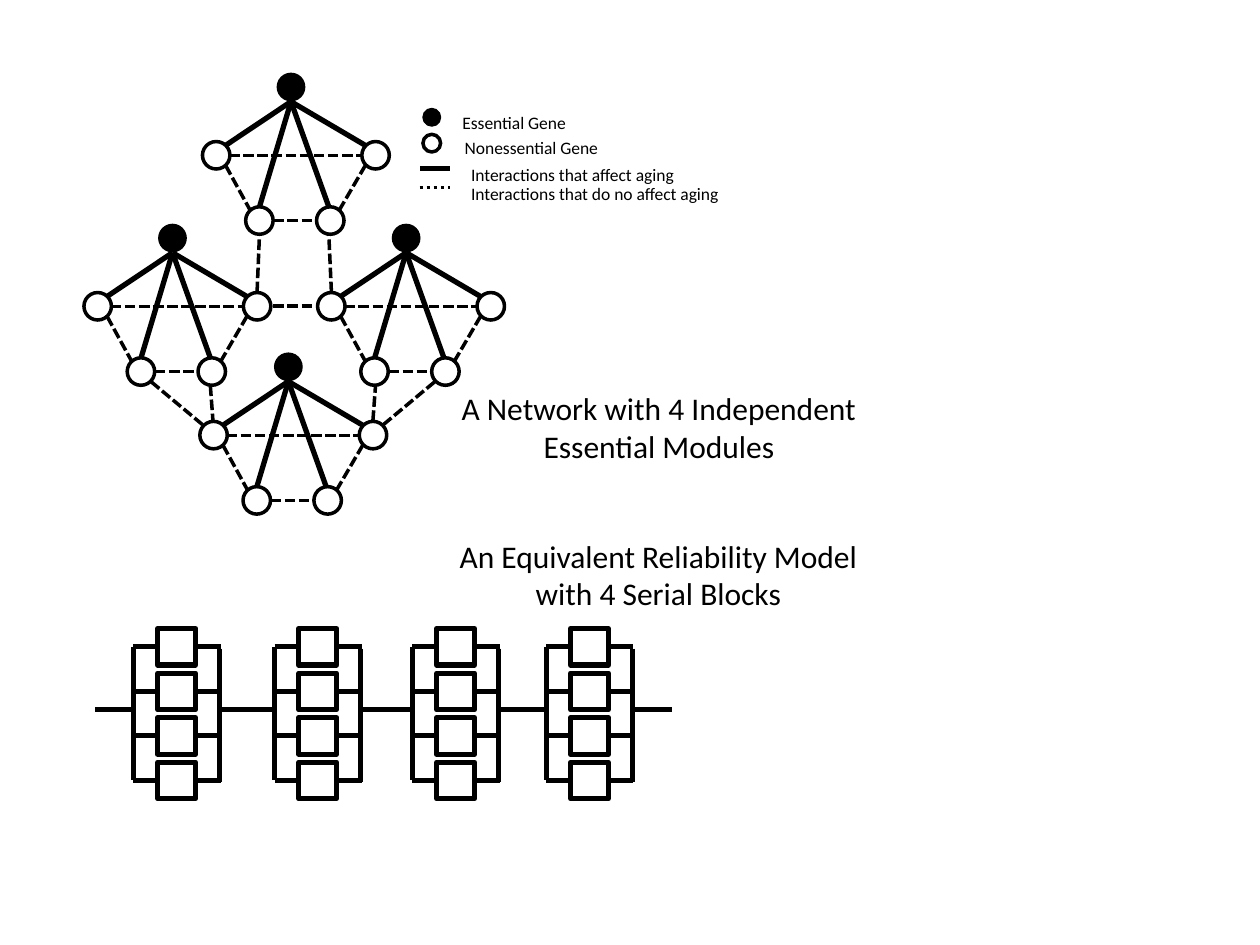
from lxml.etree import SubElement
from pptx import Presentation
from pptx.dml.color import RGBColor
from pptx.enum.dml import MSO_LINE_DASH_STYLE as Dash
from pptx.enum.shapes import MSO_CONNECTOR as Link, MSO_SHAPE as Preset
from pptx.enum.text import MSO_AUTO_SIZE as AutoSize, PP_ALIGN as Align
from pptx.oxml.ns import qn
from pptx.util import Pt

BLACK = RGBColor(0, 0, 0)
WHITE = RGBColor(255, 255, 255)

SOLID = {"width": Pt(3)}
DASHED = {"width": Pt(2), "dash_style": Dash.SQUARE_DOT}
DOTTED = {"width": Pt(2), "dash_style": Dash.ROUND_DOT}
GENE_EDGE = {"width": Pt(2)}
ESSENTIAL_EDGE = {"width": Pt(0.75)}

GENE_SIZE = 15.7
# Offsets from the top centre of a module
NONESSENTIAL_GENES = [(14.6, 76.3), (-25.9, 76.3), (-50.6, 39), (40.5, 39)]
AGING_ENDS = [(-37.4, 41.2), (-18, 76.3), (21.6, 76.3), (42.5, 41.2)]
OTHER_INTERACTIONS = [
    (27.4, 78.5, 42.5, 52.6), (-10.1, 84.2, 14.4, 84.2),
    (-35.3, 47, 40.3, 47), (-37.4, 52.6, -23.2, 78.5),
]
MODULES = [(98.6, 128.2), (232.1, 128.2), (166.3, 41.9), (164.8, 201.8)]
MODULE_BRIDGES = [
    (156.2, 175, 181.4, 175), (146.9, 167, 148.3, 133.9),
    (189.4, 167, 187.9, 133.9), (120.2, 220.3, 121.7, 240.5),
    (213.1, 240.5, 214.6, 220.3), (86.4, 218.2, 116.6, 243.4),
    (248.4, 218.2, 218.2, 243.4),
]

BLOCK_LEFTS = [76.3, 156.9, 235.7, 312.2]
BLOCK_WIDTH, LEAD = 49.8, 21.8
RUNG_TOP, RUNG_PITCH, RUNGS = 369.6, 25.45, 4
SERIAL_Y = 405.4


def apply_format(target, values):
    """Set each attribute named in values on the target."""
    for name, value in values.items():
        setattr(target, name, value)


def add_line(shapes, ends, line_format):
    """Draw a black line through (x1, y1, x2, y2)."""
    link = shapes.add_connector(Link.STRAIGHT, *[Pt(v) for v in ends])
    link.line.color.rgb = BLACK
    apply_format(link.line, line_format)
    SubElement(link._element.spPr, qn("a:effectLst"))


def add_figure(shapes, preset, box, fill, line_format):
    """Draw a black-edged shape, hollow when fill is None."""
    figure = shapes.add_shape(preset, *[Pt(v) for v in box])
    figure.shadow.inherit = False
    if fill is None:
        figure.fill.background()
    else:
        figure.fill.solid()
        figure.fill.fore_color.rgb = fill
    figure.line.color.rgb = BLACK
    apply_format(figure.line, line_format)


def add_gene(shapes, left, top, essential=False, size=GENE_SIZE):
    """Draw a gene: filled if essential, else a ring."""
    fill, edge = (BLACK, ESSENTIAL_EDGE) if essential else (None, GENE_EDGE)
    add_figure(shapes, Preset.OVAL, (left, top, size, size), fill, edge)


def add_label(shapes, box, lines, size, wrap=True, align=Align.LEFT):
    """Write one paragraph for each line of wording."""
    label = shapes.add_textbox(*[Pt(v) for v in box]).text_frame
    apply_format(label, {"word_wrap": wrap,
                         "auto_size": AutoSize.SHAPE_TO_FIT_TEXT})
    for index, wording in enumerate(lines):
        paragraph = label.add_paragraph() if index else label.paragraphs[0]
        paragraph.alignment = align
        run = paragraph.add_run()
        run.text = wording
        apply_format(run.font, {"name": "Calibri", "size": Pt(size)})
        run.font.color.rgb = BLACK


def add_module(slide, x, top):
    """Draw one essential gene with its four nonessential neighbours."""
    shapes = slide.shapes.add_group_shape().shapes
    add_gene(shapes, x - GENE_SIZE / 2, top, essential=True)
    for dx, dy in NONESSENTIAL_GENES:
        add_gene(shapes, x + dx, top + dy)
    for dx, dy in AGING_ENDS:
        add_line(shapes, (x, top + 16.2, x + dx, top + dy), SOLID)
    for x1, y1, x2, y2 in OTHER_INTERACTIONS:
        add_line(shapes, (x + x1, top + y1, x + x2, top + y2), DASHED)


def add_block(slide, left):
    """Draw one serial block of parallel units with its leads."""
    shapes = slide.shapes.add_group_shape().shapes
    right = left + BLOCK_WIDTH
    add_line(shapes, (left - LEAD, SERIAL_Y, left, SERIAL_Y), SOLID)
    for rung in range(RUNGS):
        y = RUNG_TOP + rung * RUNG_PITCH
        add_line(shapes, (left, y, right, y), SOLID)
        add_figure(shapes, Preset.RECTANGLE,
                   (left + 13.9, y - 10.4, 21.6, 20.9), WHITE, SOLID)
    bottom = RUNG_TOP + (RUNGS - 1) * RUNG_PITCH
    add_line(shapes, (left, RUNG_TOP, left, bottom), SOLID)
    add_line(shapes, (right - 0.6, RUNG_TOP + 1, right - 0.6, bottom + 0.8),
             SOLID)
    add_line(shapes, (right, SERIAL_Y, right + LEAD, SERIAL_Y), SOLID)


def add_legend(slide):
    """Explain the gene and interaction marks."""
    shapes = slide.shapes.add_group_shape().shapes
    add_gene(shapes, 241.7, 62, essential=True, size=10.1)
    add_gene(shapes, 241.7, 76.8, size=10.1)
    add_line(shapes, (239.8, 107.2, 257, 107.2), DOTTED)
    add_line(shapes, (257, 96.3, 239.8, 96.3), SOLID)
    for left, top, width, wording in [
        (257.2, 60.5, 96.5, "Essential Gene"),
        (258.5, 74.9, 125.3, "Nonessential Gene"),
        (262.1, 100.8, 157.7, "Interactions that do no affect aging"),
        (262.1, 90, 175.7, "Interactions that affect aging"),
    ]:
        add_label(shapes, (left, top, width, 19.4), [wording], 10)


def main():
    """Build the slide and save it."""
    deck = Presentation()
    apply_format(deck, {"slide_width": Pt(720), "slide_height": Pt(540)})
    slide = deck.slides.add_slide(deck.slide_layouts[6])
    for left in BLOCK_LEFTS:
        add_block(slide, left)
    for x, top in MODULES:
        add_module(slide, x, top)
    for ends in MODULE_BRIDGES:
        add_line(slide.shapes, ends, DASHED)
    add_legend(slide)
    for box, lines in [
        ((254.2, 303.1, 244.1, 51.1),
         ["An Equivalent Reliability Model", "with 4 Serial Blocks"]),
        ((255.6, 218.9, 241.9, 51.1),
         ["A Network with 4 Independent", "Essential Modules"]),
    ]:
        add_label(slide.shapes, box, lines, 18, wrap=False, align=Align.CENTER)
    deck.save("out.pptx")


main()
